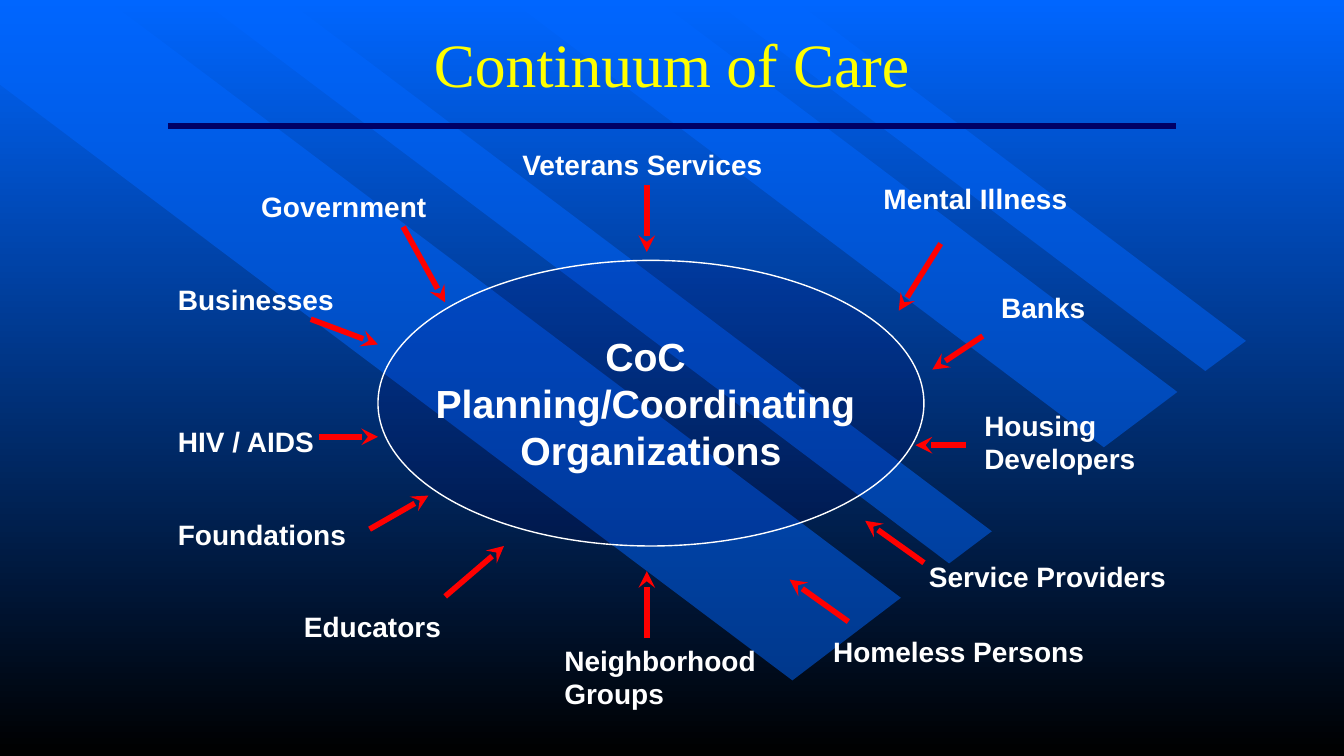
from lxml import etree
from pptx import Presentation
from pptx.dml.color import RGBColor
from pptx.enum.shapes import MSO_CONNECTOR, MSO_SHAPE
from pptx.enum.text import MSO_ANCHOR, PP_ALIGN
from pptx.oxml.ns import qn
from pptx.util import Pt

BLUE = RGBColor(0x00, 0x66, 0xFF)
BLACK = RGBColor(0x00, 0x00, 0x00)
NAVY = RGBColor(0x00, 0x00, 0x66)
WHITE = RGBColor(0xFF, 0xFF, 0xFF)
YELLOW = RGBColor(0xFF, 0xFF, 0x00)
RED = RGBColor(0xFF, 0x00, 0x00)
STRAIGHT = MSO_CONNECTOR.STRAIGHT
ELLIPSE = MSO_SHAPE.OVAL
MIDDLE = MSO_ANCHOR.MIDDLE
CENTER = PP_ALIGN.CENTER


def fill_translucent(sp, color, percent):
    sp.shadow.inherit = False
    sp.fill.solid()
    sp.fill.fore_color.rgb = color
    clr = sp._element.spPr.find(qn("a:solidFill")).find(qn("a:srgbClr"))
    etree.SubElement(clr, qn("a:alpha"), val=str(percent * 1000))


def add_line(x1, y1, x2, y2, color, width):
    line = s.shapes.add_connector(STRAIGHT, Pt(x1), Pt(y1), Pt(x2), Pt(y2))
    line.line.color.rgb = color
    line.line.width = Pt(width)
    etree.SubElement(line._element.spPr, qn("a:effectLst"))
    return line


prs = Presentation()
prs.slide_width, prs.slide_height = Pt(960), Pt(540)
s = prs.slides.add_slide(prs.slide_layouts[6])

bg = s.background.fill
bg.gradient()
bg.gradient_angle = 270
for stop, color, position in zip(bg.gradient_stops, (BLUE, BLACK), (0, 1)):
    stop.color.rgb = color
    stop.position = position

# Diagonal bands
bands = [
    [(643.5, 427), (76.5, 0), (0, 0), (0, 60.5), (566, 486)],
    [(205, 0), (708.5, 379.5), (678, 402.5), (143.5, 0)],
    [(469.5, 0), (841, 280), (788.5, 319.5), (364.5, 0)],
    [(509, 0), (861, 265), (890, 243.5), (567.5, 0)],
]
for points in bands:
    builder = s.shapes.build_freeform(Pt(points[0][0]), Pt(points[0][1]))
    builder.add_line_segments([(Pt(x), Pt(y)) for x, y in points[1:]])
    sp = builder.convert_to_shape()
    fill_translucent(sp, BLUE, 50)
    sp.line.fill.background()

# Title and rule
title = s.shapes.add_textbox(Pt(174), Pt(0), Pt(612), Pt(90))
tf = title.text_frame
tf.word_wrap = True
tf.vertical_anchor = MIDDLE
p = tf.paragraphs[0]
p.alignment = CENTER
r = p.add_run()
r.text = "Continuum of Care"
r.font.name = "Times New Roman"
r.font.size = Pt(44)
r.font.color.rgb = YELLOW
add_line(120, 90, 840, 90, NAVY, 4.5)

# Central ellipse
hub = s.shapes.add_shape(ELLIPSE, Pt(270), Pt(186), Pt(390), Pt(204))
fill_translucent(hub, NAVY, 13)
hub.line.color.rgb = WHITE
hub.line.width = Pt(1)
tf = hub.text_frame
tf.word_wrap = False
tf.vertical_anchor = MIDDLE
for i, lines in enumerate([["CoC "], ["Planning/Coordinating ", "Organizations"]]):
    p = tf.add_paragraph() if i else tf.paragraphs[0]
    p.alignment = CENTER
    for j, text in enumerate(lines):
        if j:
            p.add_line_break()
        r = p.add_run()
        r.text = text
        r.font.name = "Arial"
        r.font.size = Pt(28)
        r.font.bold = True
        r.font.color.rgb = WHITE

# Partners: lines of text, left, top, width, arrow from label to hub
partners = [
    (["Veterans Services"], 366, 102, 187, (462, 132, 462, 180)),
    (["Mental Illness"], 624, 126, 147, (672, 174, 642, 222)),
    (["Banks"], 708, 204, 76, (702, 240, 666, 264)),
    (["Housing", "Developers"], 696, 288, 124, (690, 318, 654, 318)),
    (["Service Providers"], 656.5, 396, 185, (660, 402, 618, 372)),
    (["Homeless Persons"], 588, 450, 195, (606, 444, 564, 414)),
    (["Neighborhood", "Groups"], 396, 456, 163, (462, 456, 462, 408)),
    (["Educators"], 210, 432, 114, (318, 426, 360, 390)),
    (["Foundations"], 120, 366, 136, (264, 378, 306, 354)),
    (["HIV / AIDS"], 120, 300, 112, (228, 312, 270, 312)),
    (["Businesses"], 120, 198, 127, (222, 228, 270, 246)),
    (["Government"], 179.5, 132, 134, (288, 162, 318, 216)),
]
for lines, left, top, width, ends in partners:
    height = 8 + 24 * len(lines)
    label = s.shapes.add_textbox(Pt(left), Pt(top), Pt(width), Pt(height))
    tf = label.text_frame
    tf.word_wrap = False
    for i, text in enumerate(lines):
        p = tf.add_paragraph() if i else tf.paragraphs[0]
        r = p.add_run()
        r.text = text
        r.font.name = "Arial"
        r.font.size = Pt(20)
        r.font.bold = True
        r.font.color.rgb = WHITE
    arrow = add_line(*ends, RED, 4)
    ln = arrow._element.spPr.find(qn("a:ln"))
    etree.SubElement(ln, qn("a:tailEnd"), type="stealth")

prs.save("out.pptx")
